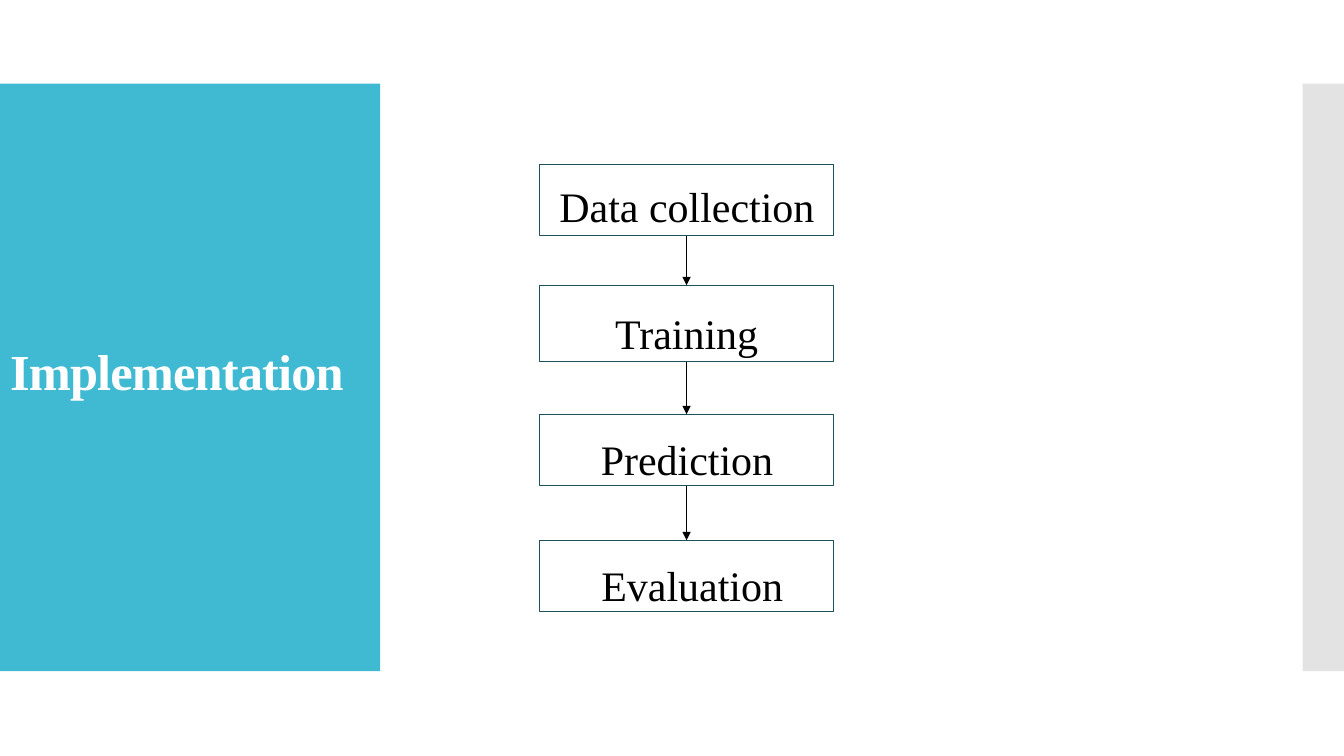
from dataclasses import dataclass

from lxml import etree
from pptx import Presentation
from pptx import util as u
from pptx.dml.color import RGBColor
from pptx.enum import shapes, text
from pptx.oxml.ns import qn

FONT = "Times New Roman"
TEAL = RGBColor(0x40, 0xBA, 0xD2)
DARK_TEAL = RGBColor(0x1C, 0x52, 0x5C)
GRAY = RGBColor(0xC8, 0xC8, 0xC8)
BLACK = RGBColor(0, 0, 0)
WHITE = RGBColor(0xFF, 0xFF, 0xFF)

STEP_LEFT, STEP_WIDTH = 5.35, 2.92
STEP_CENTER = STEP_LEFT + STEP_WIDTH / 2


@dataclass(frozen=True)
class Step:
    label: str
    top: float
    height: float = 0.71

    @property
    def bottom(self) -> float:
        return self.top + self.height


STEPS = [
    Step("Data collection ", 1.63),
    Step(" Training ", 2.83, 0.76),
    Step("Prediction", 4.11),
    Step(" Evaluation", 5.36),
]


def place(item, left: float, top: float, width: float, height: float) -> None:
    item.left, item.top = u.Inches(left), u.Inches(top)
    item.width, item.height = u.Inches(width), u.Inches(height)


def add_rectangle(page, left: float, top: float, width: float, height: float):
    box = page.shapes.add_shape(
        shapes.MSO_SHAPE.RECTANGLE,
        u.Inches(left), u.Inches(top), u.Inches(width), u.Inches(height),
    )
    box.shadow.inherit = False
    return box


def add_panel(page, left: float, width: float, color: RGBColor):
    """Add a side panel behind the placeholders."""
    panel = add_rectangle(page, left, 0.83, width, 5.83)
    panel.fill.solid()
    panel.fill.fore_color.rgb = color
    panel.line.fill.background()
    page.shapes.element.insert(2, panel.element)
    return panel


def add_step_frame(page, step: Step) -> None:
    frame = add_rectangle(page, STEP_LEFT, step.top, STEP_WIDTH, step.height)
    frame.fill.background()
    frame.line.color.rgb = DARK_TEAL
    frame.line.width = u.Pt(0.85)


def add_arrow(page, start: float, end: float) -> None:
    """Add a downward arrow on the centre line of the steps."""
    center = u.Inches(STEP_CENTER)
    arrow = page.shapes.add_connector(
        shapes.MSO_CONNECTOR.STRAIGHT,
        center, u.Inches(start), center, u.Inches(end),
    )
    arrow.line.color.rgb = BLACK
    arrow.line.width = u.Pt(0.75)
    etree.SubElement(arrow.line._get_or_add_ln(), qn("a:tailEnd"), type="triangle")
    etree.SubElement(arrow.element.spPr, qn("a:effectLst"))


def add_span(para, words: str, size: float, color: RGBColor, bold: bool = False):
    span = para.add_run()
    span.text = words
    span.font.name = FONT
    span.font.size = u.Pt(size)
    span.font.color.rgb = color
    span.font.bold = bold
    return span


def fill_title(title) -> None:
    place(title, 0, 3.01, 3.84, 1.4)
    frame = title.text_frame
    frame.auto_size = text.MSO_AUTO_SIZE.NONE
    frame.vertical_anchor = text.MSO_ANCHOR.MIDDLE
    para = frame.paragraphs[0]
    para.alignment = text.PP_ALIGN.LEFT
    para.line_spacing = 0.9
    span = add_span(para, "Implementation", 36, WHITE, bold=True)
    span.font._element.set("spc", "-60")


def fill_body(body) -> None:
    place(body, 5.42, 1.75, 2.79, 4.73)
    frame = body.text_frame
    frame.auto_size = text.MSO_AUTO_SIZE.NONE
    frame.vertical_anchor = text.MSO_ANCHOR.TOP
    frame.margin_top = u.Inches(0.1)
    for index, step in enumerate(STEPS):
        para = frame.add_paragraph() if index else frame.paragraphs[0]
        properties = para._p.get_or_add_pPr()
        properties.set("marL", "0")
        properties.set("indent", "0")
        etree.SubElement(properties, qn("a:buNone"))
        para.alignment = text.PP_ALIGN.CENTER
        para.line_spacing = 0.9
        para.space_before = u.Pt(57.8 if index else 0)
        add_span(para, step.label, 30, BLACK)


def main() -> None:
    deck = Presentation()
    deck.slide_width, deck.slide_height = u.Inches(13.33), u.Inches(7.5)
    page = deck.slides.add_slide(deck.slide_layouts[1])

    fill_title(page.shapes.title)
    fill_body(page.placeholders[1])

    add_panel(page, 0, 3.77, TEAL)
    edge = add_panel(page, 12.92, 0.41, GRAY)
    edge_color = edge.element.spPr.find(qn("a:solidFill"))[0]
    etree.SubElement(edge_color, qn("a:alpha"), val="50000")

    for step in STEPS:
        add_step_frame(page, step)
    for step, following in zip(STEPS, STEPS[1:]):
        add_arrow(page, step.bottom, following.top)

    deck.save("out.pptx")


if __name__ == "__main__":
    main()
